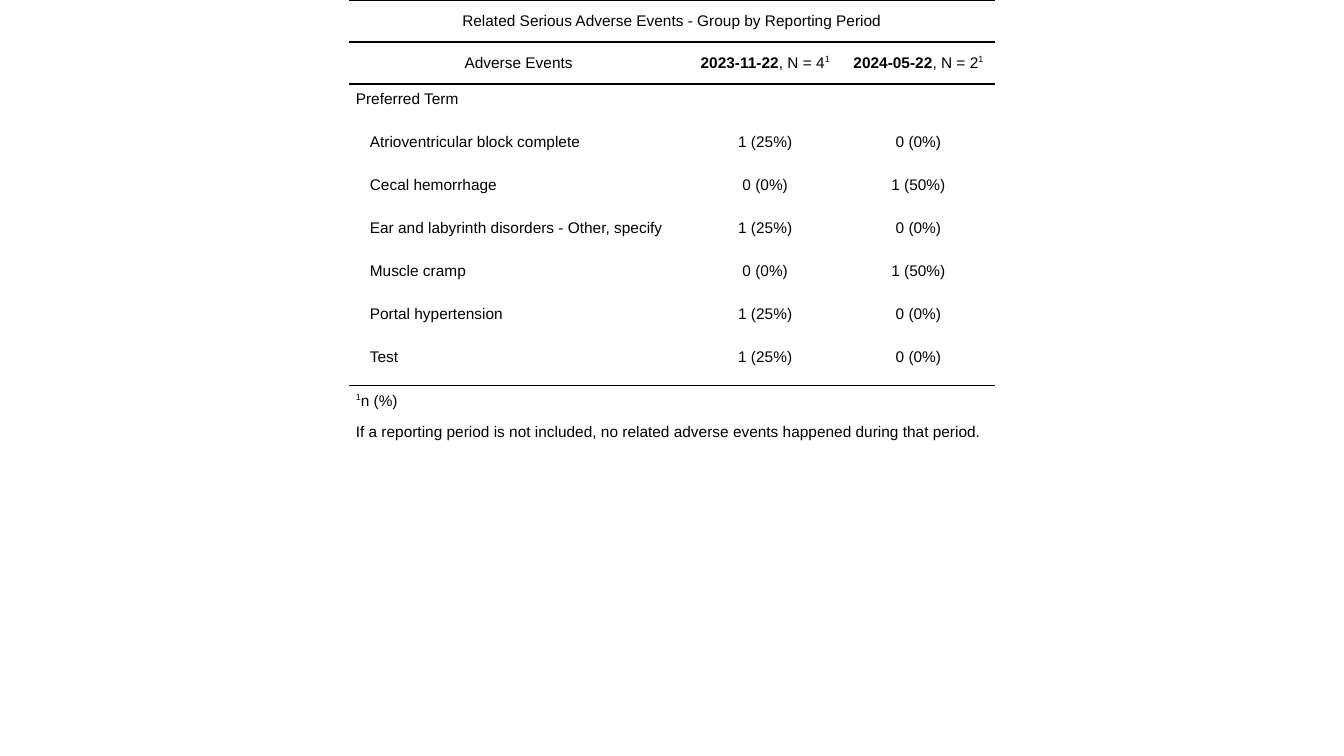
import pptx
import pptx.dml.color
import pptx.enum.text
import pptx.util
from lxml import etree

TITLE = "Related Serious Adverse Events - Group by Reporting Period"
PERIODS = [("2023-11-22", ", N = 4"), ("2024-05-22", ", N = 2")]
GROUP = "Preferred Term"
EVENTS = [
    ("Atrioventricular block complete", "1 (25%)", "0 (0%)"),
    ("Cecal hemorrhage", "0 (0%)", "1 (50%)"),
    ("Ear and labyrinth disorders - Other, specify", "1 (25%)", "0 (0%)"),
    ("Muscle cramp", "0 (0%)", "1 (50%)"),
    ("Portal hypertension", "1 (25%)", "0 (0%)"),
    ("Test", "1 (25%)", "0 (0%)"),
]
MARK = "1"
NOTES = [
    [(MARK, "super"), ("n (%)", "")],
    [("If a reporting period is not included, no related adverse events happened during that period.", "")],
]

FONT, SIZE, INK = "Arial", 11, "000000"
LEFT, COLUMNS = 3.46, [3.37, 1.52, 1.52]
HEADER_ROW, BODY_ROW, NOTE_ROW = 30, 30.75, 18
PAD = 5
NO_STYLE = "{2D5ABB26-0587-4C30-8999-92F81FD0307C}"

Pt, Inches = pptx.util.Pt, pptx.util.Inches
PP_ALIGN = pptx.enum.text.PP_ALIGN
MSO_ANCHOR = pptx.enum.text.MSO_ANCHOR


def color(value):
    return pptx.dml.color.RGBColor.from_string(value)


def write(cell, parts, center=False, middle=False, indent=5, pad=PAD, gap=PAD):
    cell.margin_left = cell.margin_right = 0
    cell.margin_top = cell.margin_bottom = Pt(pad)
    cell.vertical_anchor = MSO_ANCHOR.MIDDLE if middle else MSO_ANCHOR.TOP
    p = cell.text_frame.paragraphs[0]
    p.alignment = PP_ALIGN.CENTER if center else PP_ALIGN.LEFT
    p.space_before = p.space_after = Pt(gap)
    pPr = p._p.get_or_add_pPr()
    pPr.set("marL", str(Pt(indent)))
    pPr.set("marR", str(Pt(5)))
    pPr.set("indent", "0")
    for text, look in parts:
        r = p.add_run()
        r.text = text
        r.font.name, r.font.size = FONT, Pt(SIZE)
        r.font.bold = look == "bold"
        r.font.color.rgb = color(INK)
        if look == "super":
            r.font._element.set("baseline", "40000")


def border(cell, sides):
    tcPr = cell._tc.get_or_add_tcPr()
    ns = "{" + tcPr.nsmap["a"] + "}"
    for side in sides:
        ln = etree.SubElement(tcPr, ns + "ln" + side, w=str(Pt(1)))
        fill = etree.SubElement(ln, ns + "solidFill")
        etree.SubElement(fill, ns + "srgbClr", val=INK)


def main():
    prs = pptx.Presentation()
    prs.slide_width, prs.slide_height = Inches(13.33), Inches(7.5)
    s = prs.slides.add_slide(prs.slide_layouts[6])

    heights = [HEADER_ROW] * 2 + [BODY_ROW] * (1 + len(EVENTS)) + [NOTE_ROW] * len(NOTES)
    frame = s.shapes.add_table(len(heights), len(COLUMNS), Inches(LEFT), 0,
                               Inches(sum(COLUMNS)), Pt(sum(heights)))
    table = frame.table
    table.first_row = table.horz_banding = False
    table._tbl.tblPr[0].text = NO_STYLE
    for column, width in zip(table.columns, COLUMNS):
        column.width = Inches(width)
    for row, height in zip(table.rows, heights):
        row.height = Pt(height)

    last_event = 2 + len(EVENTS)
    rules = {0: "TB", 1: "TB", last_event: "B"}
    for i, row in enumerate(table.rows):
        for cell in row.cells:
            border(cell, rules.get(i, ""))
            cell.fill.background()

    first_note = last_event + 1
    for i in [0, *range(first_note, len(heights))]:
        table.cell(i, 0).merge(table.cell(i, len(COLUMNS) - 1))

    header = dict(center=True, middle=True, pad=2, gap=2)
    write(table.cell(0, 0), [(TITLE, "")], **header)
    write(table.cell(1, 0), [("Adverse Events", "")], **header)
    for j, (date, count) in enumerate(PERIODS, 1):
        write(table.cell(1, j), [(date, "bold"), (count, ""), (MARK, "super")], **header)

    write(table.cell(2, 0), [(GROUP, "")])
    for i, event in enumerate(EVENTS, 3):
        for j, text in enumerate(event):
            write(table.cell(i, j), [(text, "")], center=j > 0, indent=5 if j else 15)
    for i, note in enumerate(NOTES, first_note):
        write(table.cell(i, 0), note, middle=True)

    prs.save("out.pptx")


if __name__ == "__main__":
    main()
